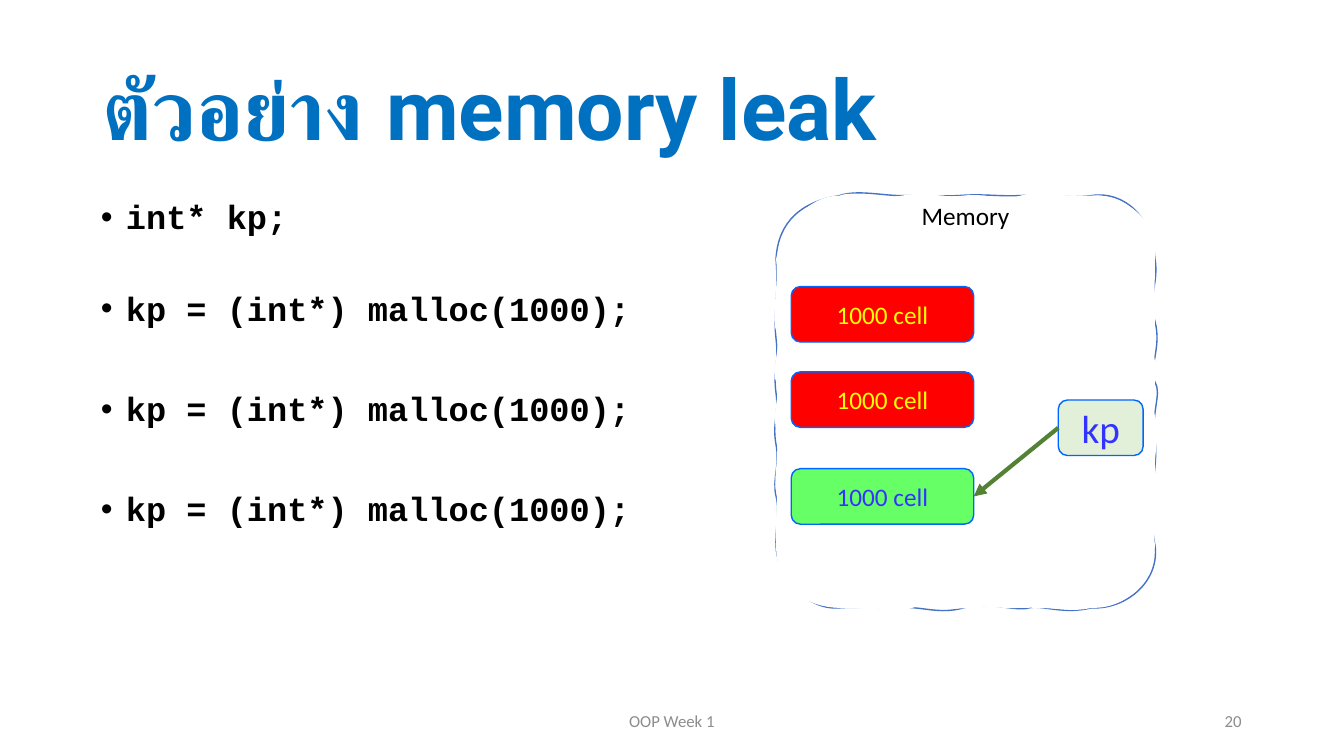
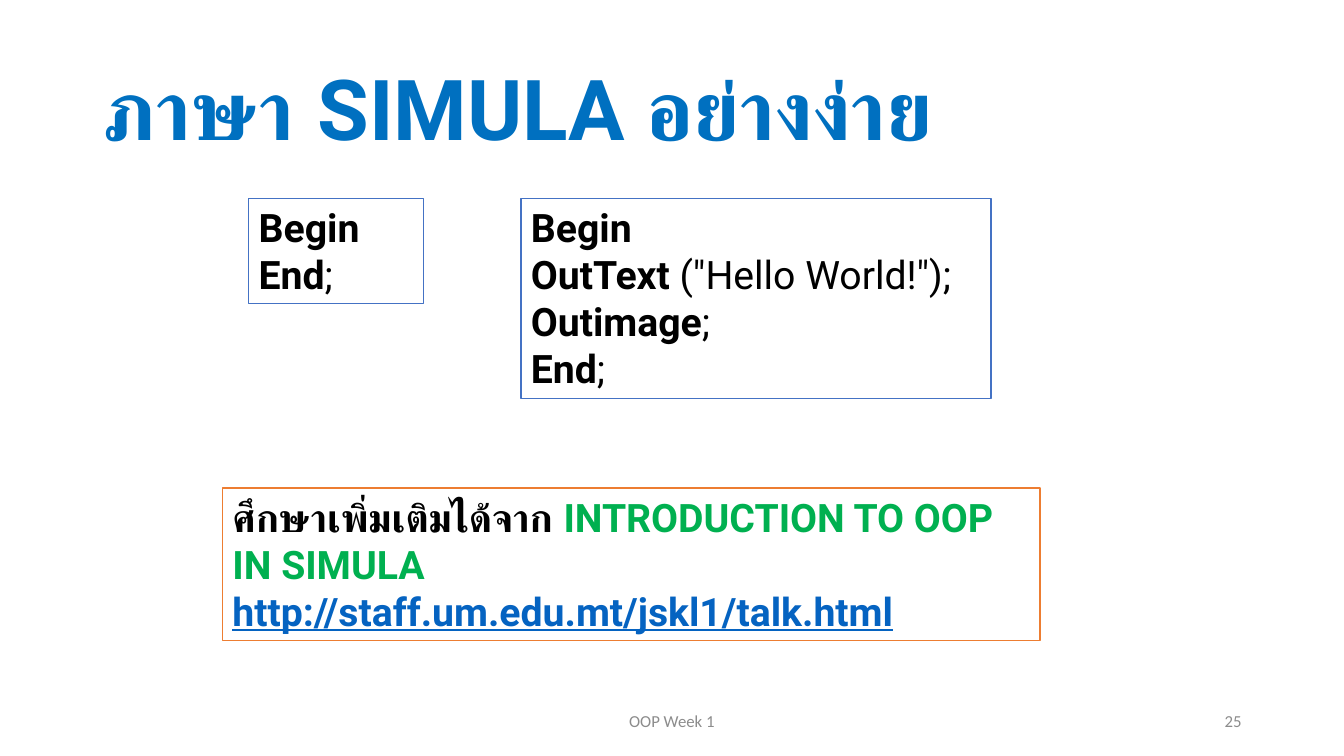
from dataclasses import dataclass
from typing import Optional

from lxml.etree import SubElement
from pptx import Presentation
from pptx.dml.color import RGBColor
from pptx.enum.shapes import MSO_CONNECTOR as Link, MSO_SHAPE as Preset
from pptx.enum.text import MSO_ANCHOR as Anchor, PP_ALIGN as Align
from pptx.oxml.ns import qn
from pptx.util import Cm, Pt

BLUE, BLACK, WHITE, GRAY = "0070C0", "000000", "FFFFFF", "8C8C8C"
FRAME_BLUE, FRAME_ORANGE, CELL_EDGE = "4472C4", "ED7D31", "0066FF"
INDIGO, YELLOW, RED, LIME = "3333FF", "FFFF00", "FF0000", "66FF66"
BULLET_INDENT = Cm(0.635)
SKETCH_UNIT = Cm(0.0254)
SKETCH_LEFT, SKETCH_TOP = 770, 194
SKETCH_START = (770, 257)

SKETCH_LINE = (
    (772, 220, 795, 200, 833, 194), (850, 188, 876, 194, 893, 194),
    (910, 194, 926, 195, 951, 194), (975, 192, 991, 195, 1011, 194),
    (1030, 193, 1066, 197, 1083, 194), (1115, 189, 1144, 215, 1146, 257),
    (1150, 280, 1139, 293, 1146, 319), (1153, 345, 1139, 366, 1146, 379),
    (1153, 391, 1142, 408, 1146, 436), (1150, 463, 1137, 494, 1146, 541),
    (1151, 577, 1117, 605, 1083, 603), (1055, 610, 1034, 600, 1021, 603),
    (1008, 607, 979, 596, 956, 603), (932, 610, 913, 601, 895, 603),
    (878, 606, 862, 601, 833, 603), (798, 606, 770, 568, 770, 541),
    (769, 525, 774, 508, 770, 492), (766, 476, 774, 462, 770, 441),
    (766, 420, 773, 411, 770, 390), (767, 369, 773, 362, 770, 336),
    (767, 310, 773, 296, 770, 257),
)
SKETCH_FILL = (
    (777, 226, 801, 194, 833, 194), (850, 188, 866, 199, 895, 194),
    (925, 189, 931, 197, 956, 194), (981, 191, 990, 201, 1013, 194),
    (1037, 187, 1052, 197, 1083, 194), (1108, 191, 1152, 215, 1146, 257),
    (1146, 277, 1145, 294, 1146, 308), (1147, 321, 1143, 339, 1146, 359),
    (1149, 379, 1141, 389, 1146, 413), (1151, 436, 1145, 448, 1146, 467),
    (1147, 486, 1143, 516, 1146, 541), (1143, 575, 1120, 604, 1083, 603),
    (1061, 608, 1049, 602, 1016, 603), (982, 604, 986, 600, 961, 603),
    (935, 606, 919, 598, 905, 603), (892, 608, 855, 603, 833, 603),
    (795, 602, 770, 579, 770, 541), (768, 517, 773, 500, 770, 487),
    (767, 474, 774, 451, 770, 427), (766, 403, 775, 393, 770, 379),
    (765, 364, 776, 341, 770, 328), (765, 314, 773, 282, 770, 257),
)


@dataclass(frozen=True)
class Run:
    """A piece of text that may depart from the format of its box."""
    text: str
    bold: Optional[bool] = None
    color: Optional[str] = None
    underline: Optional[bool] = None


@dataclass(frozen=True)
class Area:
    """A rectangle in centimetres."""
    left: float
    top: float
    width: float
    height: float

    def lengths(self) -> tuple:
        """Return the four lengths for python-pptx."""
        return tuple(Cm(n) for n in (self.left, self.top, self.width, self.height))


@dataclass(frozen=True)
class Cell:
    """A labelled block inside the memory sketch."""
    label: str
    area: Area
    fill: str
    ink: str
    size: int = 18


@dataclass(frozen=True)
class Panel:
    """A framed box of text lines."""
    area: Area
    frame: str
    lines: tuple


TITLE_AREA = Area(2.33, 1.02, 29.21, 3.68)
CODE_AREA = Area(2.29, 4.93, 14.83, 9.6)
FOOTER_AREA = Area(11.22, 17.65, 11.43, 1.02)
NUMBER_AREA = Area(23.92, 17.65, 7.62, 1.02)
ALLOCATE = "kp = (int*) malloc(1000);"

CELLS = tuple(
    Cell("1000 cell", Area(19.94, top, 4.6, 1.4), fill, ink)
    for top, fill, ink in ((7.22, RED, YELLOW), (9.37, RED, YELLOW), (11.81, LIME, INDIGO))
)
POINTER = Cell("kp", Area(26.67, 10.08, 2.14, 1.4), "E2F0D9", INDIGO, 28)

END_LINE = (Run("End"), Run(";", bold=False))
PANELS = (
    Panel(Area(6.27, 5, 4.4, 2.65), FRAME_BLUE, ((Run("Begin"),), END_LINE)),
    Panel(Area(13.13, 5, 11.85, 5.05), FRAME_BLUE, (
        (Run("Begin"),),
        (Run("OutText"), Run(' ("Hello World!");', bold=False)),
        (Run("Outimage"), Run(";", bold=False)),
        END_LINE,
    )),
    Panel(Area(5.61, 12.3, 20.6, 3.84), FRAME_ORANGE, (
        (Run("ศึกษาเพิ่มเติมได้จาก "), Run("INTRODUCTION TO OOP IN SIMULA", color="00B050")),
        (Run("http://staff.um.edu.mt/jskl1/talk.html", color="0563C1", underline=True),),
    )),
)


def rgb(color: str) -> RGBColor:
    """Turn a hex string into a colour."""
    return RGBColor.from_string(color)


def paint(shape, fill: str, line: str) -> None:
    """Set the fill and outline of a shape, with no shadow."""
    shape.shadow.inherit = False
    shape.fill.solid()
    shape.fill.fore_color.rgb = rgb(fill)
    shape.line.color.rgb = rgb(line)
    shape.line.width = Pt(1)


def write_text(shape, lines, *, size: int, font: str = "Calibri", color: str = BLACK,
               bold: bool = False, align=Align.LEFT, anchor=Anchor.TOP,
               spacing: float = 1.0, gaps=(), bullet: str = "") -> None:
    """Write lines, each a string or a tuple of runs, into a shape."""
    frame = shape.text_frame
    frame.word_wrap = True
    frame.vertical_anchor = anchor
    for index, line in enumerate(lines):
        paragraph = frame.paragraphs[0] if index == 0 else frame.add_paragraph()
        paragraph.alignment = align
        paragraph.line_spacing = spacing
        if index and gaps:
            paragraph.space_before = Pt(gaps[index - 1])
        if bullet:
            properties = paragraph._p.get_or_add_pPr()
            properties.set("marL", str(BULLET_INDENT))
            properties.set("indent", str(-BULLET_INDENT))
            SubElement(properties, qn("a:buFont")).set("typeface", "Arial")
            SubElement(properties, qn("a:buChar")).set("char", bullet)
        for part in (Run(line),) if isinstance(line, str) else line:
            run = paragraph.add_run()
            run.text = part.text
            run.font.size = Pt(size)
            run.font.name = font
            run.font.bold = bold if part.bold is None else part.bold
            run.font.underline = part.underline
            run.font.color.rgb = rgb(part.color or color)


def add_text(slide, area: Area, *lines, **text_format) -> None:
    """Add a text box."""
    write_text(slide.shapes.add_textbox(*area.lengths()), lines, **text_format)


def add_base_slide(deck, title: str, number: int):
    """Add a blank slide with the shared title and footer."""
    slide = deck.slides.add_slide(deck.slide_layouts[6])
    add_text(slide, TITLE_AREA, title, size=60, font="Roboto", color=BLUE, bold=True,
             anchor=Anchor.MIDDLE, spacing=0.9)
    for area, label, align in ((FOOTER_AREA, "OOP Week 1", Align.CENTER),
                               (NUMBER_AREA, str(number), Align.RIGHT)):
        add_text(slide, area, label, size=12, color=GRAY, align=align, anchor=Anchor.MIDDLE)
    return slide


def add_point(parent, x: int, y: int) -> None:
    """Add a point, measured from the corner of the sketch."""
    SubElement(parent, qn("a:pt"), x=str(x - SKETCH_LEFT), y=str(y - SKETCH_TOP))


def add_curves(outlines, size: dict, curves: tuple, **flags: str) -> None:
    """Add one closed chain of cubic curves to the outlines of a freeform."""
    chain = SubElement(outlines, qn("a:path"), **size, **flags)
    add_point(SubElement(chain, qn("a:moveTo")), *SKETCH_START)
    for curve in curves:
        bend = SubElement(chain, qn("a:cubicBezTo"))
        for x, y in zip(curve[::2], curve[1::2]):
            add_point(bend, x, y)
    SubElement(chain, qn("a:close"))


def add_memory(slide) -> None:
    """Add the hand-drawn memory outline with its label."""
    builder = slide.shapes.build_freeform(*SKETCH_START, scale=SKETCH_UNIT)
    builder.add_line_segments([curve[4:] for curve in SKETCH_LINE], close=True)
    memory = builder.convert_to_shape()
    outlines = memory._element.spPr.find(".//" + qn("a:pathLst"))
    straight = outlines[0]
    size = {side: straight.get(side) for side in ("w", "h")}
    outlines.remove(straight)
    add_curves(outlines, size, SKETCH_LINE, fill="none")
    add_curves(outlines, size, SKETCH_FILL, stroke="0")
    paint(memory, WHITE, FRAME_BLUE)
    write_text(memory, ["Memory"], size=18, align=Align.CENTER)


def add_cell(slide, cell: Cell):
    """Add a rounded memory block."""
    block = slide.shapes.add_shape(Preset.ROUNDED_RECTANGLE, *cell.area.lengths())
    paint(block, cell.fill, CELL_EDGE)
    write_text(block, [cell.label], size=cell.size, color=cell.ink,
               align=Align.CENTER, anchor=Anchor.MIDDLE)
    return block


def add_arrow(slide, source, target) -> None:
    """Join the left side of source to the right side of target."""
    arrow = slide.shapes.add_connector(Link.STRAIGHT, 0, 0, 0, 0)
    arrow.begin_connect(source, 1)
    arrow.end_connect(target, 3)
    arrow.line.color.rgb = rgb("548235")
    arrow.line.width = Pt(3)
    SubElement(arrow.line._get_or_add_ln(), qn("a:tailEnd")).set("type", "triangle")
    SubElement(arrow._element.spPr, qn("a:effectLst"))


def add_panel(slide, panel: Panel) -> None:
    """Add a framed panel of text."""
    box = slide.shapes.add_shape(Preset.RECTANGLE, *panel.area.lengths())
    paint(box, WHITE, panel.frame)
    write_text(box, panel.lines, size=28, font="Roboto", bold=True)


def build_memory_leak(deck) -> None:
    """Build the memory leak slide."""
    slide = add_base_slide(deck, "ตัวอย่าง memory leak", 20)
    add_text(slide, CODE_AREA, "int* kp;", *[ALLOCATE] * 3, size=24, font="Courier New",
             bold=True, spacing=0.9, gaps=(39.6, 45.6, 45.6), bullet="•")
    add_memory(slide)
    blocks = [add_cell(slide, cell) for cell in CELLS]
    add_arrow(slide, add_cell(slide, POINTER), blocks[-1])


def build_simula(deck) -> None:
    """Build the SIMULA slide."""
    slide = add_base_slide(deck, "ภาษา SIMULA อย่างง่าย", 25)
    for panel in PANELS:
        add_panel(slide, panel)


def main() -> None:
    """Build and save the deck."""
    deck = Presentation()
    deck.slide_width, deck.slide_height = Cm(33.87), Cm(19.05)
    build_memory_leak(deck)
    build_simula(deck)
    deck.save("out.pptx")


if __name__ == "__main__":
    main()
